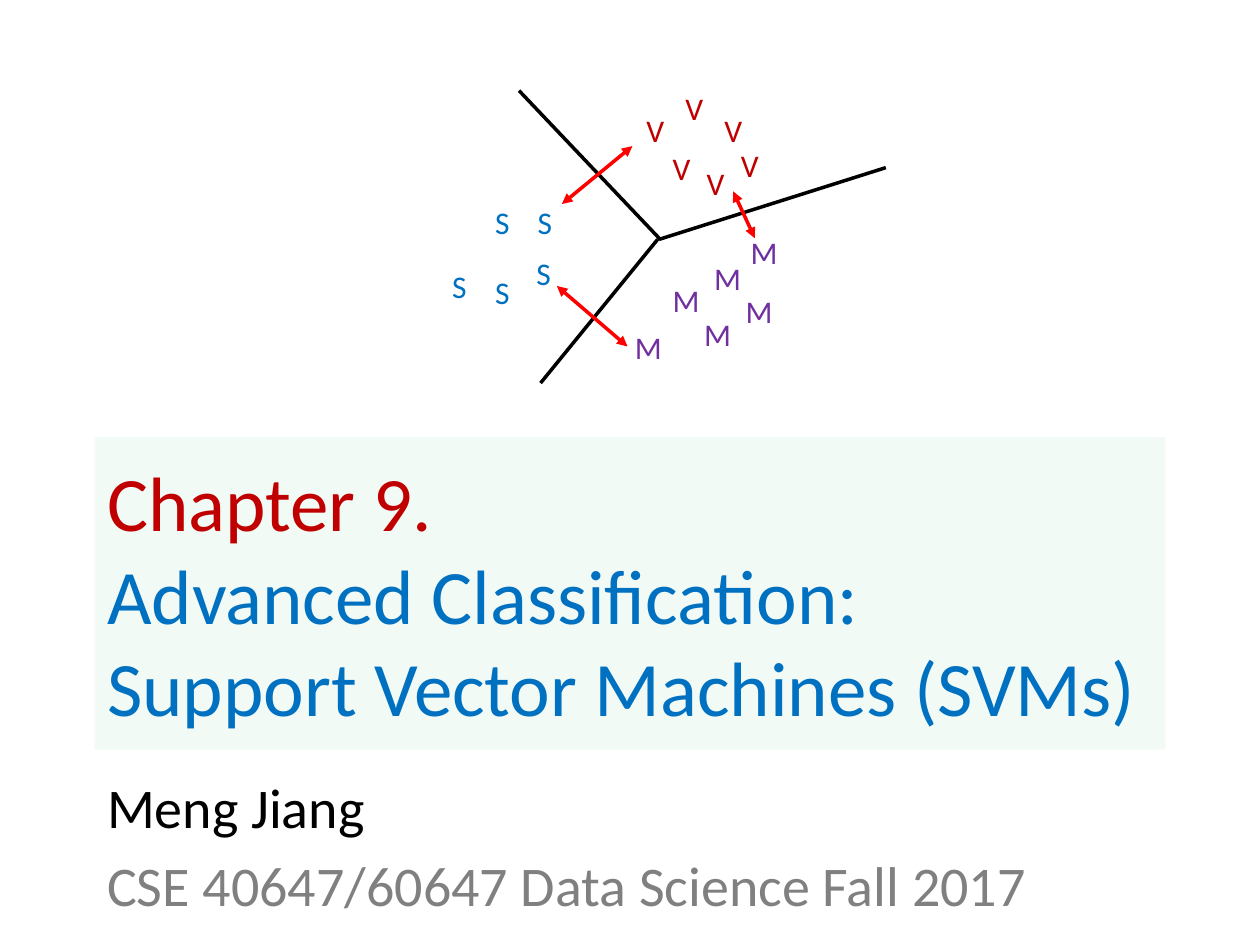
from lxml import etree
from pptx import Presentation
from pptx.dml.color import RGBColor as Rgb
from pptx.enum.shapes import MSO_CONNECTOR as Conn
from pptx.enum.text import MSO_ANCHOR as Anchor, MSO_AUTO_SIZE as Fit, PP_ALIGN as Align
from pptx.oxml.ns import qn
from pptx.util import Pt

HUES = {"black": "000000", "gray": "808080", "blue": "0070C0", "dark": "C00000",
        "plum": "7030A0", "red": "FF0000", "green": "00B050"}

MARKS = [
    ("S", "blue", 24.5, [(275.8, 112.3), (251.3, 149), (275.8, 152.6),
                         (299.5, 141.8), (300.2, 112.3)]),
    ("V", "dark", 25.2, [(362.2, 59.8), (384.5, 47.5), (406.8, 59.8),
                         (416.2, 79.9), (396.7, 90), (377.3, 81.4)]),
    ("M", "plum", 29.5, [(377.3, 157), (401, 144.7), (395.3, 176.4),
                         (419, 163.4), (421.9, 129.6), (355.7, 183.6)]),
]
EDGES = [(296.6, 51.8, 377.3, 136.8), (308.9, 218.9, 375.8, 136.8),
         (376.6, 136.8, 506.2, 95.8)]
GAPS = [(321.1, 116.6, 361.4, 83.5), (358.6, 198, 318.2, 163.4),
        (431.3, 136.1, 419, 109.4)]


class Deck:
    font = "Calibri"

    def __init__(self, wide, high):
        self.prs = Presentation()
        self.prs.slide_width, self.prs.slide_height = Pt(wide), Pt(high)
        self.slide = self.prs.slides.add_slide(self.prs.slide_layouts[0])

    def style(self, run, size, hue):
        run.font.name, run.font.size = self.font, Pt(size)
        run.font.color.rgb = Rgb.from_string(HUES[hue])

    def place(self, item, box):
        item.left, item.top, item.width, item.height = map(Pt, box)
        item.text_frame.auto_size = Fit.NONE
        return item.text_frame

    def title(self, text, box, hues):
        item = self.slide.shapes.title
        frame = self.place(item, box)
        item.fill.solid()
        item.fill.fore_color.rgb = Rgb.from_string(HUES["green"])
        tint = item.fill._xPr.find(".//" + qn("a:srgbClr"))
        etree.SubElement(tint, qn("a:alpha"), val="5000")
        frame.vertical_anchor = Anchor.MIDDLE
        frame.text = text
        para = frame.paragraphs[0]
        para.alignment = Align.LEFT
        for run, hue in zip(para.runs, hues):
            self.style(run, 44, hue)

    def body(self, text, box, hues):
        frame = self.place(self.slide.placeholders[1], box)
        frame.text = text
        frame.paragraphs[0].space_before = Pt(0)
        for para, hue in zip(frame.paragraphs, hues):
            para.alignment = Align.LEFT
            self.style(para.runs[0], 32, hue)

    def mark(self, text, hue, x, y, wide):
        box = self.slide.shapes.add_textbox(Pt(x), Pt(y), Pt(wide), Pt(29))
        frame = box.text_frame
        frame.word_wrap, frame.auto_size = False, Fit.SHAPE_TO_FIT_TEXT
        frame.text = text
        self.style(frame.paragraphs[0].runs[0], 18, hue)

    def line(self, ends, hue, heads=False):
        item = self.slide.shapes.add_connector(Conn.STRAIGHT, *map(Pt, ends))
        item.line.width = Pt(2)
        item.line.color.rgb = Rgb.from_string(HUES[hue])
        if heads:
            for tag in ("a:headEnd", "a:tailEnd"):
                etree.SubElement(item.line._get_or_add_ln(), qn(tag), type="triangle")
        etree.SubElement(item._element.spPr, qn("a:effectLst"))


def main():
    deck = Deck(720, 540)
    deck.body("Meng Jiang\nCSE 40647/60647 Data Science Fall 2017",
              (54, 437.8, 586.8, 103.7), ["black", "gray"])
    deck.title("Chapter 9.\vAdvanced Classification:\vSupport Vector Machines (SVMs)",
               (54, 249.8, 612, 178.6), ["dark", "blue", "blue"])
    for text, hue, wide, spots in MARKS:
        for x, y in spots:
            deck.mark(text, hue, x, y, wide)
    for ends in EDGES:
        deck.line(ends, "black")
    for ends in GAPS:
        deck.line(ends, "red", heads=True)
    deck.prs.save("out.pptx")


if __name__ == "__main__":
    main()
